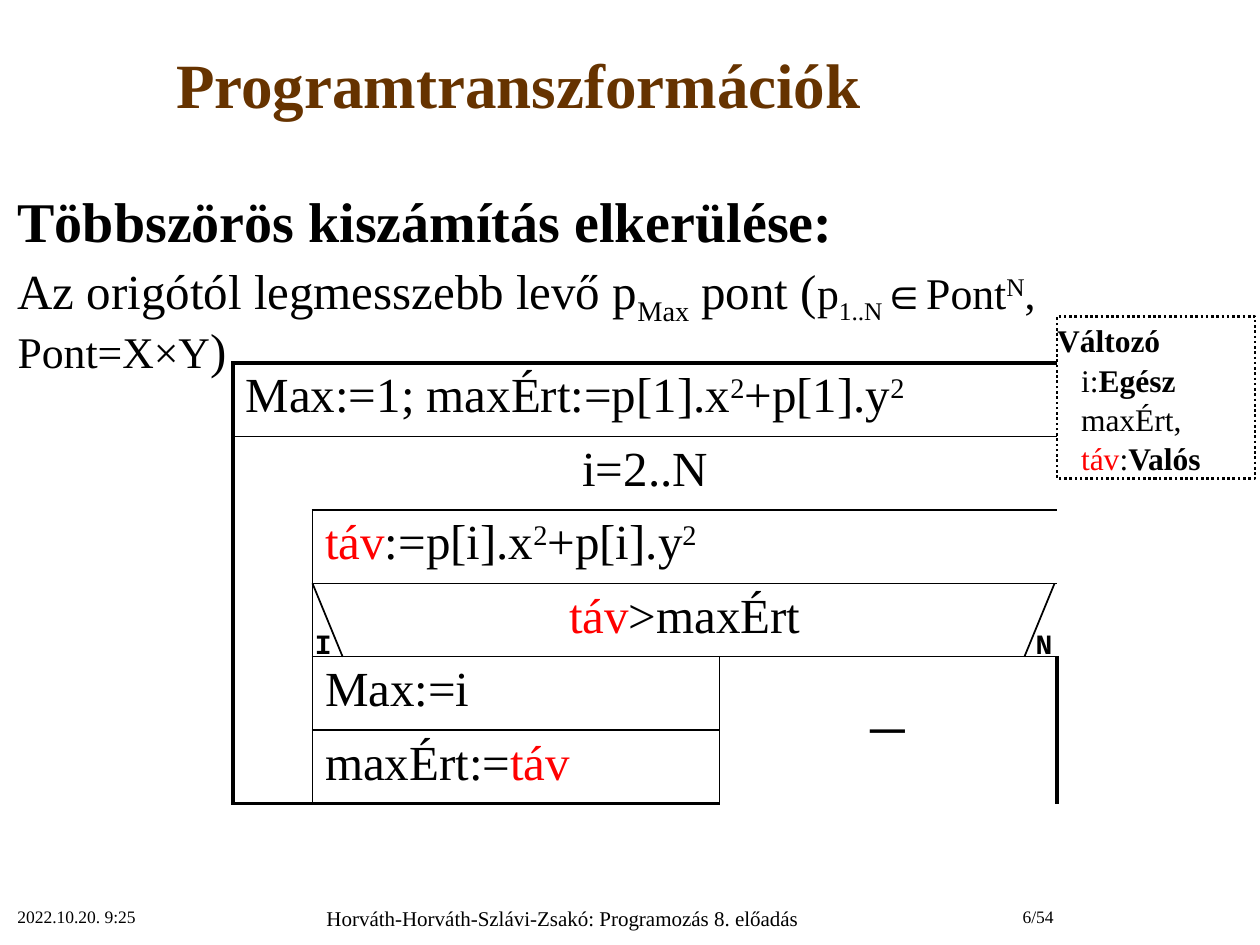
from dataclasses import dataclass

from lxml.etree import SubElement
from pptx import Presentation
from pptx.dml.color import RGBColor
from pptx.enum.dml import MSO_LINE
from pptx.enum.shapes import MSO_CONNECTOR as Connector, MSO_SHAPE as Shape
from pptx.enum.text import MSO_ANCHOR as Anchor, MSO_AUTO_SIZE as AutoSize, PP_ALIGN as Align
from pptx.oxml import parse_xml
from pptx.oxml.ns import nsdecls, qn
from pptx.util import Inches, Pt


@dataclass(frozen=True)
class Theme:
    serif: str = "Times New Roman"
    mono: str = "Courier New"
    black: str = "000000"
    red: str = "FF0000"
    brown: str = "663300"
    title: int = 36
    heading: int = 32
    text: int = 28
    formula: int = 25
    variables: int = 18
    branch: int = 16
    footer: int = 12
    small: int = 10
    thick: float = 2.25
    thin: float = 1


THEME = Theme()
RED = {"color": THEME.red}
BOLD = {"bold": True}
SUP = {"baseline": 30}
SUB = {"baseline": -25}


def write(paragraph, parts, size, align=Align.LEFT, font=THEME.serif):
    """Each part is plain text or a (text, style) pair."""
    paragraph.alignment = align
    for part in parts:
        text, style = (part, {}) if isinstance(part, str) else part
        run = paragraph.add_run()
        run.text = text
        run.font.name = font
        run.font.size = Pt(style.get("size", size))
        run.font.bold = style.get("bold", False)
        run.font.color.rgb = RGBColor.from_string(style.get("color", THEME.black))
        if "baseline" in style:
            run.font._element.set("baseline", str(style["baseline"] * 1000))


def place(item, box):
    item.left, item.top, item.width, item.height = map(Inches, box)


def add_label(slide, box, parts, size, align=Align.LEFT, font=THEME.serif):
    frame = slide.shapes.add_textbox(*map(Inches, box)).text_frame
    frame.word_wrap = True
    write(frame.paragraphs[0], parts, size, align, font)


def add_title(slide, box):
    title = slide.shapes.title
    place(title, box)
    frame = title.text_frame
    frame.auto_size = AutoSize.NONE
    frame.vertical_anchor = Anchor.MIDDLE
    paragraph = frame.paragraphs[0]
    paragraph.line_spacing = 0.9
    write(paragraph, [("Programtranszformációk", {"bold": True, "color": THEME.brown})],
          THEME.title, Align.CENTER)


def add_task(slide, box):
    body = slide.placeholders[1]
    place(body, box)
    frame = body.text_frame
    frame.auto_size = AutoSize.NONE
    frame.margin_right = Inches(0.3)
    formula = {"size": THEME.formula}
    lines = [
        ([("Többszörös kiszámítás elkerülése:", BOLD)], THEME.heading),
        (["Az origótól legmesszebb levő p", ("Max", SUB), " pont (", ("p", formula),
          ("1..N", formula | SUB), ("∈Pont", formula), ("N", formula | SUP),
          (", Pont=X×Y", formula), ")"], THEME.text),
    ]
    for index, (parts, size) in enumerate(lines):
        paragraph = frame.add_paragraph() if index else frame.paragraphs[0]
        paragraph.line_spacing = 0.95
        paragraph.space_before = Pt(size / 10)
        props = paragraph._p.get_or_add_pPr()
        props.set("marL", "0")
        props.set("indent", "0")
        SubElement(props, qn("a:buNone"))
        write(paragraph, parts, size)


def set_borders(cell, widths):
    """Widths run left, right, top, bottom; zero means no line."""
    props = cell._tc.get_or_add_tcPr()
    for index, (side, width) in enumerate(zip("LRTB", widths)):
        fill = (f'<a:solidFill><a:srgbClr val="{THEME.black}"/></a:solidFill>'
                if width else "<a:noFill/>")
        props.insert(index, parse_xml(
            f'<a:ln{side} {nsdecls("a")} w="{Pt(width)}">{fill}</a:ln{side}>'))


def add_branch_marks(slide, box):
    left, top, width, height = box
    slant, label_width = 0.24, 0.32
    right = left + width
    sides = [("I", left, left + slant, left - 0.08),
             ("N", right - 0.02, right - 0.02 - slant, right - 0.27)]
    for mark, start, end, label_left in sides:
        line = slide.shapes.add_connector(
            Connector.STRAIGHT, *map(Inches, (start, top, end, top + height)))
        line.line.color.rgb = RGBColor.from_string(THEME.black)
        line.line.width = Pt(THEME.thin)
        SubElement(line._element.spPr, qn("a:effectLst"))
        add_label(slide, (label_left, top + height / 2, label_width, 0.37),
                  [(mark, BOLD)], THEME.branch, font=THEME.mono)


def add_structogram(slide, box):
    left, top, width, height = box
    columns, row_count = (0.63, 3.23, 2.68), 6
    row_height = height / row_count
    table = slide.shapes.add_table(row_count, len(columns), *map(Inches, box)).table
    table.first_row = table.horz_banding = False
    for column, column_width in zip(table.columns, columns):
        column.width = Inches(column_width)
    for row in table.rows:
        row.height = Inches(row_height)

    # Blocks: row, column, rows spanned, columns spanned, text, alignment
    blocks = [
        (0, 0, 1, 3, ["Max:=1; maxÉrt:=p[1].x", ("2", SUP), "+p[1].y", ("2", SUP)], Align.LEFT),
        (1, 0, 1, 3, ["i=2..N"], Align.CENTER),
        (2, 1, 1, 2, [("táv", RED), ":=p[i].x", ("2", SUP), "+p[i].y", ("2", SUP)], Align.LEFT),
        (3, 1, 1, 2, [("táv", RED), ">maxÉrt"], Align.CENTER),
        (4, 1, 1, 1, ["Max:=i"], Align.LEFT),
        (4, 2, 2, 1, ["─"], Align.CENTER),
        (5, 1, 1, 1, ["maxÉrt:=", ("táv", RED)], Align.LEFT),
    ]
    owner = {(r, c): (row, col) for row, col, rows, cols, *_ in blocks
             for r in range(row, row + rows) for c in range(col, col + cols)}
    loop_margin = (1, 0)

    def edge(here, there):
        if there[0] not in range(row_count) or there[1] not in range(len(columns)):
            return THEME.thick
        same = owner.get(here, loop_margin) == owner.get(there, loop_margin)
        return 0 if same else THEME.thin

    for r in range(row_count):
        for c in range(len(columns)):
            cell = table.cell(r, c)
            cell.fill.background()
            neighbours = [(r, c - 1), (r, c + 1), (r - 1, c), (r + 1, c)]
            set_borders(cell, [edge((r, c), other) for other in neighbours])

    for row, col, rows, cols, parts, align in blocks:
        cell = table.cell(row, col)
        if rows * cols > 1:
            cell.merge(table.cell(row + rows - 1, col + cols - 1))
        cell.vertical_anchor = Anchor.MIDDLE if rows > 1 else Anchor.TOP
        write(cell.text_frame.paragraphs[0], parts, THEME.text, align)

    add_branch_marks(slide, (left + columns[0], top + 3 * row_height,
                             width - columns[0], row_height))


def add_variables(slide, box):
    panel = slide.shapes.add_shape(Shape.RECTANGLE, *map(Inches, box))
    panel.shadow.inherit = False
    panel.fill.background()
    panel.line.color.rgb = RGBColor.from_string(THEME.black)
    panel.line.width = Pt(1.5)
    panel.line.dash_style = MSO_LINE.ROUND_DOT
    frame = panel.text_frame
    frame.word_wrap = True
    frame.vertical_anchor = Anchor.TOP
    frame.margin_left = frame.margin_right = 0
    frame.margin_top = frame.margin_bottom = Inches(0.04)
    lines = [[("Változó", BOLD)], ["i:", ("Egész", BOLD)], ["maxÉrt,"],
             [("táv", RED), ":", ("Valós", BOLD)]]
    for index, parts in enumerate(lines):
        paragraph = frame.add_paragraph() if index else frame.paragraphs[0]
        paragraph.space_before = Pt(0.9)
        if index:
            paragraph._p.get_or_add_pPr().set("marL", str(Inches(0.19)))
        write(paragraph, parts, THEME.variables)


def add_footer(slide, top):
    add_label(slide, (0.04, top, 2.08, 0.39), ["2022.10.20. 9:25"], THEME.small)
    add_label(slide, (2.12, top, 4.69, 0.36),
              ["Horváth-Horváth-Szlávi-Zsakó: Programozás 8. előadás"], THEME.footer, Align.CENTER)
    add_label(slide, (7.19, top, 1.27, 0.39), ["6/54"], THEME.small, Align.RIGHT)


def main():
    deck = Presentation()
    deck.slide_width, deck.slide_height = Inches(10), Inches(7.5)
    slide = deck.slides.add_slide(deck.slide_layouts[1])
    add_title(slide, (0, 0.09, 8.23, 1.22))
    add_task(slide, (0.04, 1.47, 9.96, 5.2))
    add_structogram(slide, (1.85, 2.88, 6.54, 3.5))
    add_variables(slide, (8.39, 2.51, 1.57, 1.29))
    add_footer(slide, 7.14)
    deck.save("out.pptx")


if __name__ == "__main__":
    main()
